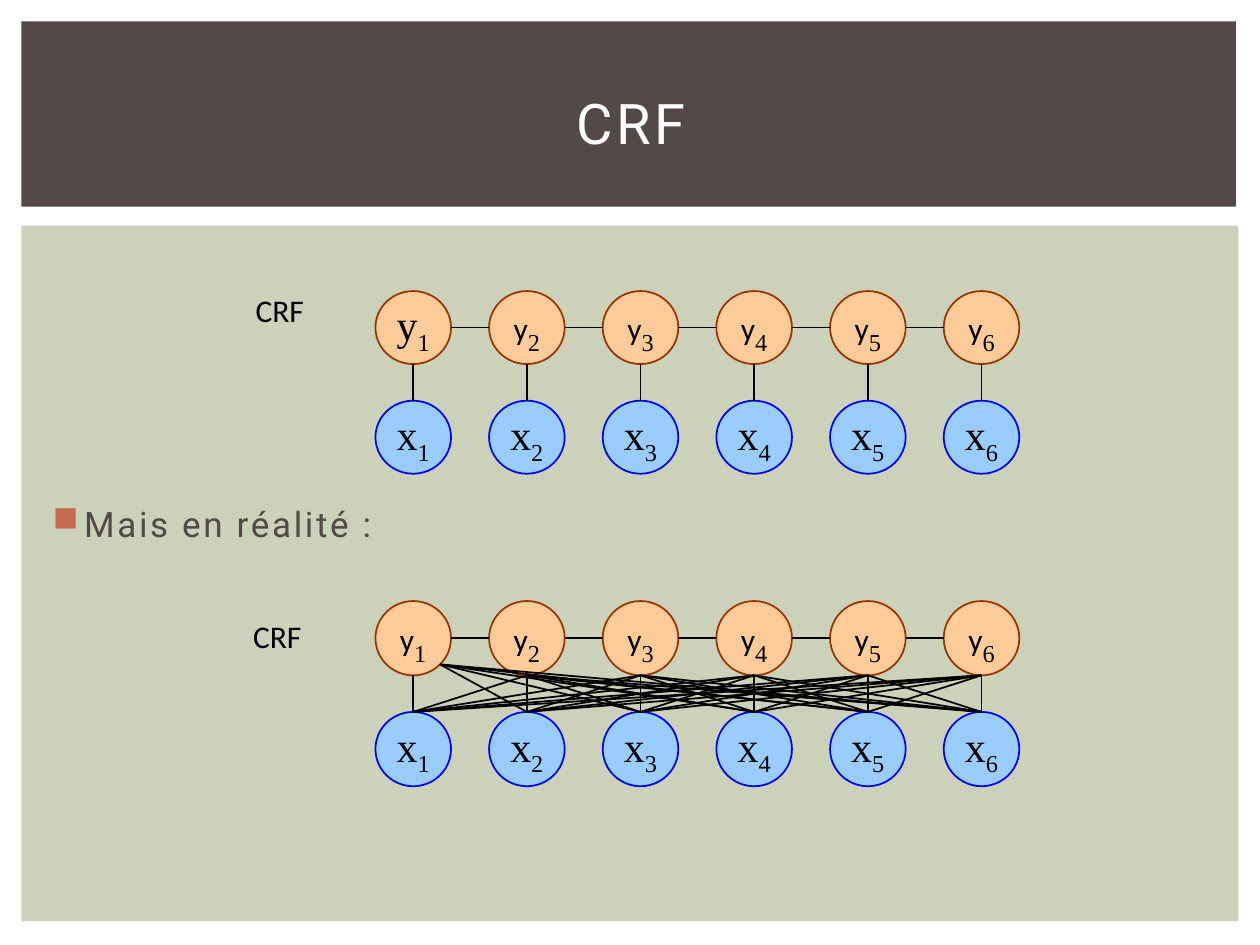
"""Build a slide that sets a linear CRF beside its fully linked form."""
from dataclasses import dataclass
from itertools import product
from math import sqrt
from typing import Any

from lxml.etree import SubElement
from pptx import Presentation
from pptx.dml.color import RGBColor
from pptx.enum.shapes import MSO_CONNECTOR, MSO_SHAPE
from pptx.enum.text import MSO_ANCHOR, PP_ALIGN
from pptx.oxml.ns import qn
from pptx.util import Emu, Inches, Pt

COLS, ROWS = 100, 75
CELL = Inches(10) / COLS
COUNT = 6
LEFT, PITCH, WIDE = 29.8, 9.02, 6
HUES = {
    "dark": "534949", "sage": "CCD1B9", "white": "FFFFFF", "black": "000000",
    "rust": "C66951", "peach": "FFCC99", "brown": "993300",
    "sky": "99CCFF", "blue": "0000FF",
}
SERIF, SANS, HEAD = "Times New Roman", "Calibri", "Roboto"


@dataclass(frozen=True)
class Box:
    x: float
    y: float
    w: float
    h: float

    def span(self) -> list[Emu]:
        return [grid(v) for v in (self.x, self.y, self.w, self.h)]


@dataclass(frozen=True)
class Font:
    name: str
    size: int
    hue: str = "black"
    gap: float = 0


@dataclass(frozen=True)
class Graph:
    top: float
    high: float
    step: float
    label: Box
    serifs: int
    full: bool


GRAPHS = (
    Graph(23.1, 5.8, 8.7, Box(19.3, 22.6, 7.2, 4), 1, False),
    Graph(47.7, 5.9, 8.8, Box(19.1, 48.5, 7.2, 4), 0, True),
)


def grid(cells: float) -> Emu:
    return Emu(round(cells * CELL))


def tint(hue: str) -> RGBColor:
    return RGBColor.from_string(HUES[hue])


def style(run: Any, font: Font) -> None:
    run.font.name, run.font.size = font.name, Pt(font.size)
    run.font.color.rgb = tint(font.hue)
    if font.gap:
        run.font._element.set("spc", str(round(font.gap * 100)))


def panel(shapes: Any, box: Box, hue: str) -> None:
    shape = shapes.add_shape(MSO_SHAPE.RECTANGLE, *box.span())
    shape.shadow.inherit = False
    shape.fill.solid()
    shape.fill.fore_color.rgb = tint(hue)
    shape.line.fill.background()


def write(shapes: Any, box: Box, text: str, font: Font, wrap: bool = True) -> Any:
    frame = shapes.add_textbox(*box.span()).text_frame
    frame.word_wrap = wrap
    frame.text = text
    style(frame.paragraphs[0].runs[0], font)
    return frame


def bullet(para: Any, sign: str, hue: str) -> None:
    props = para._p.get_or_add_pPr()
    props.set("marL", str(Inches(0.3)))
    props.set("indent", str(Inches(-0.25)))
    paint = SubElement(props, qn("a:buClr"))
    SubElement(paint, qn("a:srgbClr")).set("val", HUES[hue])
    SubElement(props, qn("a:buChar")).set("char", sign)


def node(shapes: Any, box: Box, name: str, index: int, font: Font, fill: str, edge: str) -> None:
    shape = shapes.add_shape(MSO_SHAPE.OVAL, *box.span())
    shape.shadow.inherit = False
    shape.fill.solid()
    shape.fill.fore_color.rgb = tint(fill)
    shape.line.color.rgb, shape.line.width = tint(edge), Pt(1)
    frame = shape.text_frame
    frame.word_wrap, frame.vertical_anchor = False, MSO_ANCHOR.MIDDLE
    para = frame.paragraphs[0]
    para.text, para.alignment = name, PP_ALIGN.CENTER
    style(para.runs[0], font)
    sub = para.add_run()
    sub.text = str(index)
    style(sub, Font(SERIF, 24))
    sub.font._element.set("baseline", "-25000")


def link(shapes: Any, *ends: float) -> None:
    line = shapes.add_connector(MSO_CONNECTOR.STRAIGHT, *map(grid, ends))
    line.line.color.rgb, line.line.width = tint("black"), Pt(1)
    SubElement(line._element.spPr, qn("a:effectLst"))


def draw(shapes: Any, graph: Graph) -> None:
    group = shapes.add_group_shape().shapes
    lefts = [LEFT + PITCH * i for i in range(COUNT)]
    mids = [x + WIDE / 2 for x in lefts]
    base, low = graph.top + graph.high, graph.top + graph.step
    centre = graph.top + graph.high / 2
    for i, x in enumerate(lefts):
        font = Font(SERIF, 24) if i < graph.serifs else Font(SANS, 18)
        node(group, Box(x, graph.top, WIDE, graph.high), "y", i + 1, font, "peach", "brown")
        node(group, Box(x, low, WIDE, graph.high), "x", i + 1, Font(SERIF, 24), "sky", "blue")
    for a, b in zip(lefts, lefts[1:]):
        link(group, a + WIDE, centre, b, centre)
    for i, j in product(range(COUNT), repeat=2):
        if i == j:
            link(group, mids[i], base, mids[j], low)
        elif graph.full and i == 0:
            link(group, mids[i] + WIDE / sqrt(8), centre + graph.high / sqrt(8), mids[j], low)
        elif graph.full:
            link(group, mids[i], base, mids[j], low)
    write(shapes, graph.label, "CRF", Font(SANS, 18), False)


def main() -> None:
    deck = Presentation()
    deck.slide_width, deck.slide_height = grid(COLS), grid(ROWS)
    shapes = deck.slides.add_slide(deck.slide_layouts[6]).shapes
    panel(shapes, Box(1.7, 17.9, 96.6, 55.2), "sage")
    panel(shapes, Box(1.7, 1.7, 96.4, 14.7), "dark")
    title = write(shapes, Box(4.2, 3.9, 91.7, 11.5), "CRF", Font(HEAD, 32, "white", 2))
    title.vertical_anchor = MSO_ANCHOR.MIDDLE
    title.paragraphs[0].alignment = PP_ALIGN.CENTER
    note = write(shapes, Box(2.7, 39.4, 91.9, 4.4), "Mais en réalité :", Font(HEAD, 20, "dark", 1.5))
    bullet(note.paragraphs[0], "■", "rust")
    for graph in GRAPHS:
        draw(shapes, graph)
    deck.save("out.pptx")


if __name__ == "__main__":
    main()
